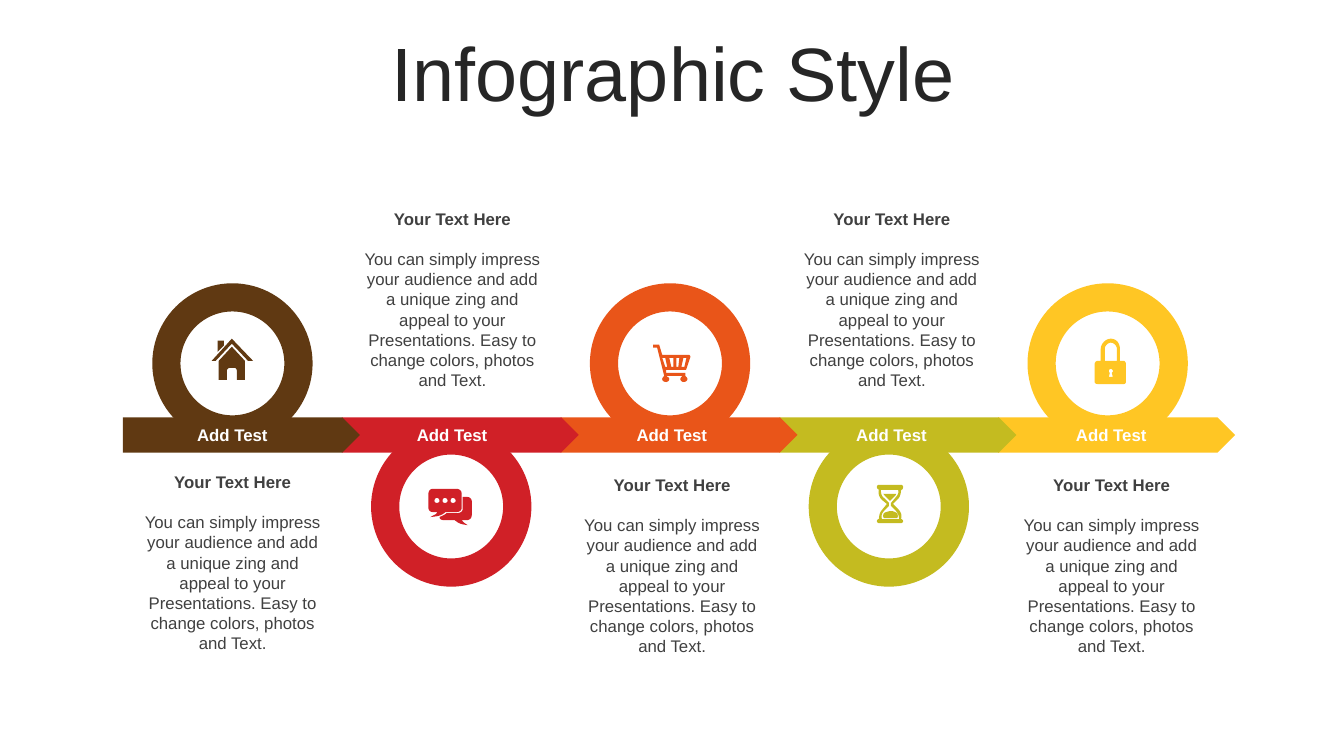
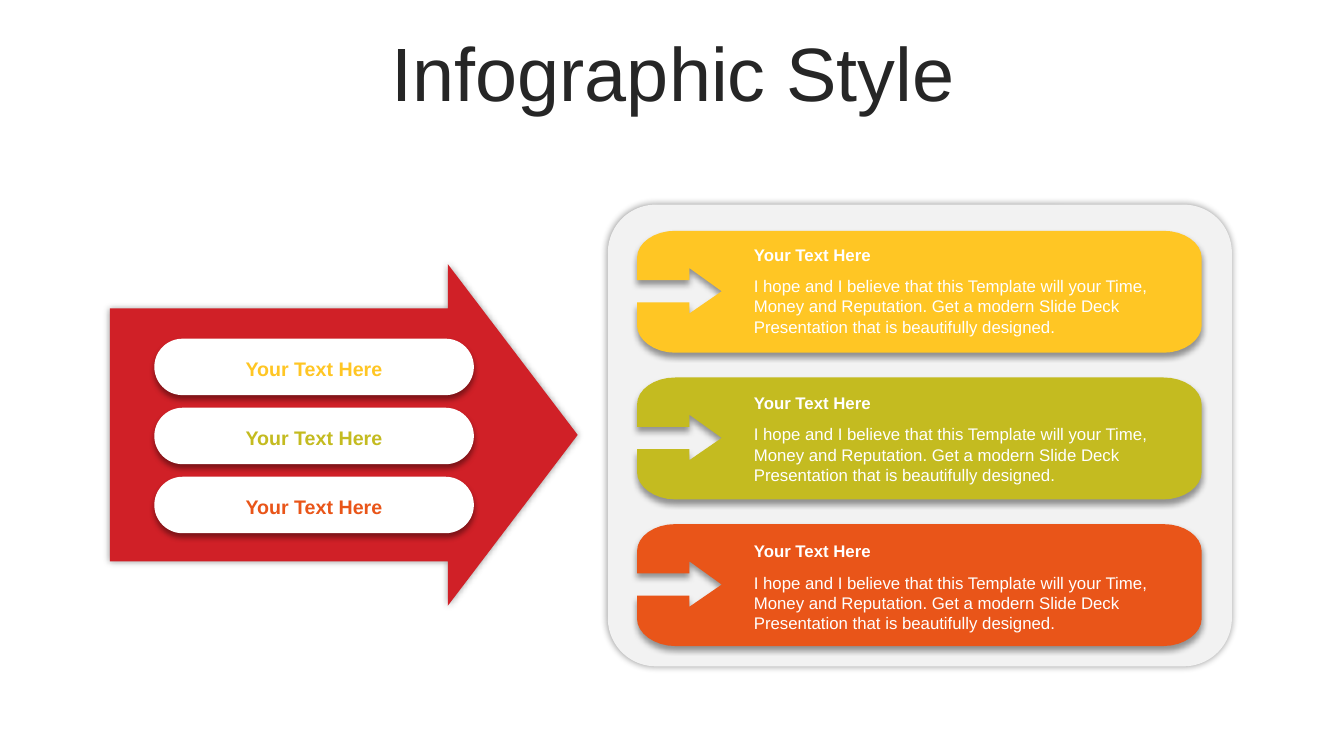
"""Build two infographic slides: a five-step ribbon and an arrow leading to three cards."""
from lxml.etree import SubElement
from pptx import Presentation
from pptx.dml.color import RGBColor
from pptx.enum.shapes import MSO_SHAPE as SHAPE
from pptx.enum.text import MSO_ANCHOR as ANCHOR, PP_ALIGN as ALIGN
from pptx.oxml.ns import qn
from pptx.util import Inches, Pt

BROWN, RED, ORANGE, OLIVE, YELLOW = "603912", "D02027", "E95519", "C4BB20", "FFC624"
WHITE, PALE, GRAY, INK = "FFFFFF", "F2F2F2", "404040", "262626"
GLOW, DROP = (5, 0), (4, 3)
HEADING = "Your Text Here"
STEP_BODY = ("You can simply impress your audience and add a unique zing and appeal "
             "to your Presentations. Easy to change colors, photos and Text.")
CARD_BODY = ("I hope and I believe that this Template will your Time, Money and Reputation. "
             "Get a modern Slide Deck Presentation that is beautifully designed.")

HOUSE = ["20,8 33,22 33,41 25,41 25,32 25,31,24,29,23,29 18,29 16,29,15,31,15,32 15,41 7,41 7,22",
         "6,2 12,2 12,7 6,13",
         "20,0 41,22 36,22 20,5 4,22 0,22"]
CHAT = [f"{x},9 {x - 1},9,{x - 2},10,{x - 2},12 {x - 2},13,{x - 1},14,{x},14 "
        f"{x + 2},14,{x + 3},13,{x + 3},12 {x + 3},10,{x + 2},9,{x},9" for x in (8, 16, 24)]
CHAT += ["34,8 38,8 41,8,43,10,43,12 43,26 43,29,41,31,38,31 33,31 34,32,34,33,39,36 "
         "31,35,30,34,26,31 15,31 13,31,11,30,11,28 13,27,16,26,18,24 29,24 32,24,34,22,34,20",
         "4,0 28,0 31,0,33,2,33,5 33,19 33,21,31,23,28,23 17,23 12,27,10,27,2,28 "
         "7,25,7,26,9,23 4,23 2,23,0,21,0,19 0,5 0,2,2,0,4,0"]
CART = ["30,13 28,22 31,22 33,13", "23,13 23,22 25,22 26,13",
        "16,13 18,22 20,22 20,13", "9,13 12,22 14,22 12,13",
        "6,0 9,10 35,10 36,10,37,11,37,12 33,24 33,25,32,25,31,25 13,25 13,28 32,28 32,31 "
        "33,32,34,33,34,34 34,36,32,37,30,37 29,37,27,36,27,34 27,33,28,32,29,31 14,31 14,32 "
        "15,32,16,33,16,34 16,36,14,37,13,37 11,37,9,36,9,34 9,33,10,32,11,31 4,3 0,3 0,0"]
HOURGLASS = ["14,26 16,26,18,27,20,28 21,30,21,32,20,33 7,33 6,32,6,30,7,28 9,27,12,26,14,26",
             "6,9 19,9 19,9,19,10,18,11 13,16 8,11 7,10,7,9,6,9",
             "4,5 4,7,4,11,7,13 12,18 12,21 7,26 5,28,4,31,5,34 22,34 22,31,21,28,19,26 "
             "14,21 14,18 19,12 21,10,22,7,21,5",
             "2,0 24,0 25,0,26,1,26,2 26,4,25,5,24,5 24,8,23,12,21,14 16,19 21,24 "
             "24,27,25,30,24,34 25,34,26,35,26,36 26,37,25,38,24,38 2,38 1,38,0,37,0,36 "
             "0,35,1,34,2,34 2,31,3,27,5,25 10,19 5,15 2,12,1,8,2,5 1,4,0,4,0,2 0,1,1,0,2,0"]
LOCK = ["16,30 15,30,14,31,14,32 14,33,14,33,15,34 14,38 18,38 17,34 18,33,18,33,18,32 "
        "18,31,17,30,16,30",
        "16,4 13,4,10,7,10,10 10,22 22,22 22,10 22,7,19,4,16,4",
        "16,0 21,0,25,4,25,10 25,22 29,22 30,22,31,24,31,25 31,43 31,44,30,45,29,45 "
        "3,45 1,45,0,44,0,43 0,25 0,24,1,22,3,22 6,22 6,10 6,5,11,0,16,0"]
CARD = ["38,0 522,0 543,0,560,12,560,27 560,94 560,108,543,121,522,121 38,121 "
        "17,121,0,108,0,94 0,71 52,71 52,82 84,60 52,37 52,49 0,49 0,27 0,12,17,0,38,0"]

prs = Presentation()
prs.slide_width, prs.slide_height = Inches(13.33), Inches(7.5)
col, row = prs.slide_width / 100, prs.slide_height / 100


def text(s, txt, x, y, w, h, size=12, color=GRAY, bold=False, align=ALIGN.CENTER,
         anchor=ANCHOR.TOP, spacing=None):
    tf = s.shapes.add_textbox(int(x * col), int(y * row), int(w * col), int(h * row)).text_frame
    tf.word_wrap, tf.vertical_anchor = True, anchor
    p = tf.paragraphs[0]
    p.alignment, p.line_spacing = align, spacing
    r = p.add_run()
    r.text = txt
    r.font.name, r.font.size, r.font.bold = "Arial", Pt(size), bold
    r.font.color.rgb = RGBColor.from_string(color)


def paint(sp, color, shadow=None, adj=()):
    sp.fill.solid()
    sp.fill.fore_color.rgb = RGBColor.from_string(color)
    sp.line.fill.background()
    sp.shadow.inherit = False
    for i, value in enumerate(adj):
        sp.adjustments[i] = value
    if shadow:
        blur, dist = shadow
        effects = sp._element.spPr.find(qn("a:effectLst"))
        outer = SubElement(effects, qn("a:outerShdw"), blurRad=str(Pt(blur)), dist=str(Pt(dist)),
                           dir="5400000", algn="ctr", rotWithShape="0")
        black = SubElement(outer, qn("a:srgbClr"), val="000000")
        SubElement(black, qn("a:alpha"), val="40000")


ribbon, cards = [prs.slides.add_slide(prs.slide_layouts[6]) for _ in range(2)]
for s in (ribbon, cards):
    text(s, "Infographic Style", 2.63, 4.93, 94.95, 10.53, size=54, color=INK,
         anchor=ANCHOR.MIDDLE, spacing=0.9)

for i, color in reversed(list(enumerate([BROWN, RED, ORANGE, OLIVE, YELLOW]))):
    ring_top, text_top = (56.4, 26.93) if i % 2 else (37.47, 62.13 if i else 61.73)
    for kind, x, y, w, h, adj in [(SHAPE.PENTAGON, 9.15, 55.2, 17.63, 4.67, ()),
                                  (SHAPE.DONUT, 11.33, ring_top, 11.93, 21.2, (0.176,))]:
        sp = ribbon.shapes.add_shape(kind, int((x + 16.28 * i) * col), int(y * row),
                                     int(w * col), int(h * row))
        paint(sp, color, adj=adj)
    left = 10 + 16.35 * i
    text(ribbon, "Add Test", left + 2.75, 55.47, 9.08, 4, color=WHITE, bold=True)
    text(ribbon, HEADING, left, text_top, 14.63, 4, bold=True)
    text(ribbon, STEP_BODY, left, text_top + 5.33, 14.63, 20.13)

for kind, x, y, w, h, color, adj in [
        (SHAPE.RIGHT_ARROW, 8.18, 34.93, 34.8, 45.2, RED, (0.74, 0.38)),
        (SHAPE.ROUNDED_RECTANGLE, 45.23, 27.07, 46.43, 61.07, PALE, (0.104,))]:
    sp = cards.shapes.add_shape(kind, int(x * col), int(y * row), int(w * col), int(h * row))
    paint(sp, color, GLOW, adj)

outlines = [(ribbon, HOUSE, 15.75, 44.8, BROWN, None), (ribbon, CHAT, 31.88, 64.67, RED, None),
            (ribbon, CART, 48.6, 45.6, ORANGE, None), (ribbon, HOURGLASS, 65.25, 64.13, OLIVE, None),
            (ribbon, LOCK, 81.45, 44.8, YELLOW, None)]
outlines += [(cards, CARD, 47.4, 30.53 + 19.4 * i, color, DROP)
             for i, color in enumerate([YELLOW, OLIVE, ORANGE])]
for s, contours, x, y, color, shadow in outlines:
    builder = None
    for contour in contours:
        points = []
        for token in contour.split():
            nums = [int(n) * 100 for n in token.split(",")]
            if len(nums) == 2:
                points.append(tuple(nums))
                continue
            ends = [points[-1], nums[:2], nums[2:4], nums[4:]]
            for t in [k / 8 for k in range(1, 9)]:
                weights = (1 - t) ** 3, 3 * t * (1 - t) ** 2, 3 * t * t * (1 - t), t ** 3
                points.append(tuple(sum(w * e[axis] for w, e in zip(weights, ends))
                                    for axis in (0, 1)))
        if builder:
            builder.move_to(*points[0])
        else:
            builder = s.shapes.build_freeform(*points[0], scale=Inches(1) / 10000)
        builder.add_line_segments(points[1:], close=True)
    paint(builder.convert_to_shape(int(x * col), int(y * row)), color, shadow)

for i, color in enumerate([YELLOW, OLIVE, ORANGE]):
    top = 31.73 + 19.6 * i
    text(cards, HEADING, 55.35, top, 31.73, 4, color=WHITE, bold=True, align=ALIGN.LEFT)
    text(cards, CARD_BODY, 55.35, top + 4.13, 31.73, 9.47, color=WHITE, align=ALIGN.LEFT)
    top = 44.8 + 9.13 * i
    sp = cards.shapes.add_shape(SHAPE.ROUNDED_RECTANGLE, int(11.48 * col), int(top * row),
                                int(23.78 * col), int(7.47 * row))
    paint(sp, WHITE, DROP, (0.5,))
    text(cards, HEADING, 17.1, top + 1.73, 12.53, 4.53, size=14, color=color, bold=True)

prs.save("out.pptx")
